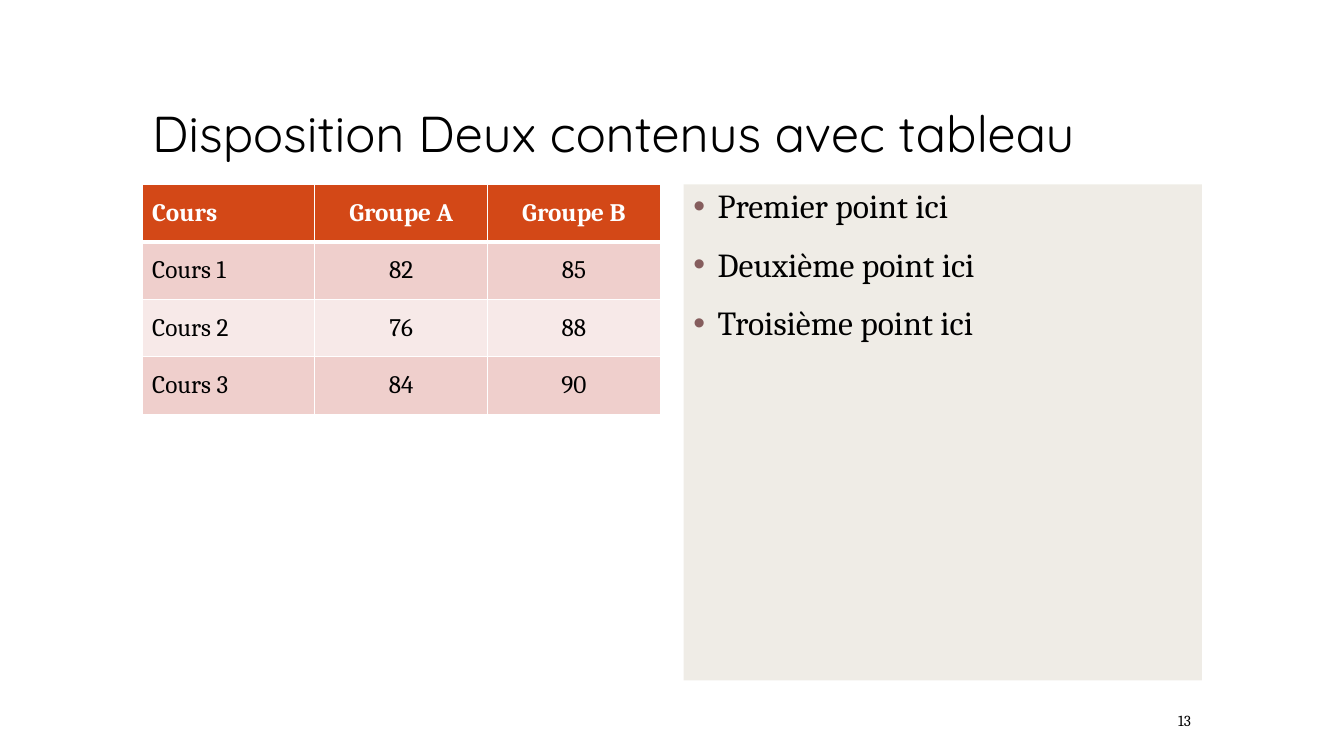
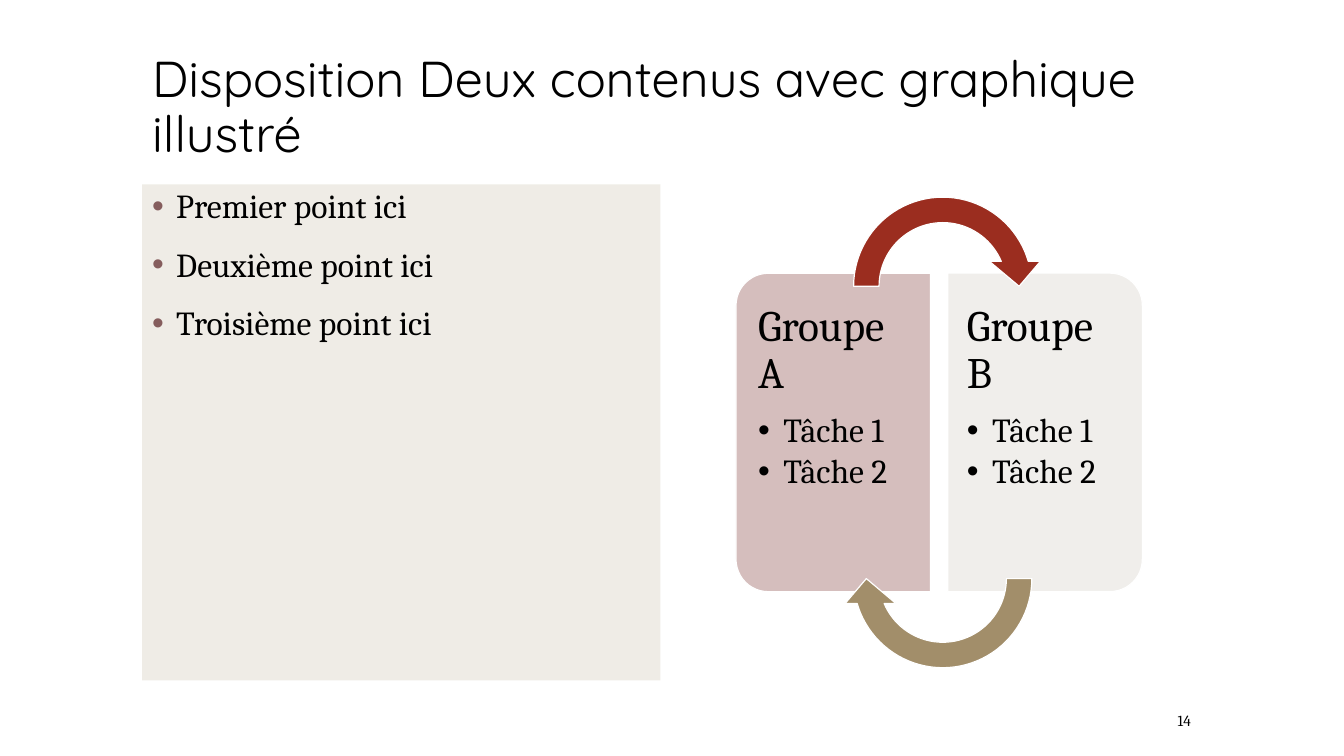
from lxml import etree
from pptx import Presentation
from pptx.dml.color import RGBColor
from pptx.enum.shapes import MSO_SHAPE
from pptx.enum.text import MSO_ANCHOR, PP_ALIGN
from pptx.oxml.ns import qn
from pptx.util import Pt

EMU_PER_PX = 9144  # 100 px to the inch
LEFT, CENTER, RIGHT = PP_ALIGN.LEFT, PP_ALIGN.CENTER, PP_ALIGN.RIGHT
TOP, MIDDLE, BOTTOM = MSO_ANCHOR.TOP, MSO_ANCHOR.MIDDLE, MSO_ANCHOR.BOTTOM
RECTANGLE = MSO_SHAPE.RECTANGLE
ROUND_TOP = MSO_SHAPE.ROUND_2_SAME_RECTANGLE
CIRCULAR_ARROW = MSO_SHAPE.CIRCULAR_ARROW

# Shared style
TITLE_FONT, BODY_FONT = "Quicksand", "Cambria"
BLACK, WHITE = "000000", "FFFFFF"
PANEL, BULLET = "E9E5DC", "855D5D"
HEADER, BAND_DARK, BAND_LIGHT = "D34817", "EFCFCC", "F7E9E8"
CARD_A, CARD_B = "D5BEBD", "F0EEEB"
ARROW_TOP, ARROW_BOTTOM = "9B2D1F", "A28E6A"

# Shared boxes: left, top, width, height
TITLE_BOX = (141, 42, 1050, 125)
LEFT_BOX = (141, 183, 514, 492)
RIGHT_BOX = (678, 183, 514, 492)
NUMBER_BOX = (880, 695, 311, 40)

POINTS = ["Premier point ici", "Deuxième point ici", "Troisième point ici"]
TASKS = ["Tâche 1", "Tâche 2"]
GRADES = [
    ["Cours", "Groupe A", "Groupe B"],
    ["Cours 1", "82", "85"],
    ["Cours 2", "76", "88"],
    ["Cours 3", "84", "90"],
]


def px(*lengths):
    return [round(length * EMU_PER_PX) for length in lengths]


def color(hex_string):
    return RGBColor.from_string(hex_string)


def format_paragraph(paragraph, size, font=BODY_FONT, ink=BLACK, bold=False, align=LEFT):
    paragraph.alignment = align
    paragraph.font.name = font
    paragraph.font.size = Pt(size)
    paragraph.font.bold = bold
    paragraph.font.color.rgb = color(ink)


def add_bullet(paragraph, ink, margin):
    properties = paragraph._p.get_or_add_pPr()
    properties.set("marL", str(px(margin)[0]))
    properties.set("indent", str(px(-25)[0]))
    bullet_color = etree.SubElement(properties, qn("a:buClr"))
    etree.SubElement(bullet_color, qn("a:srgbClr"), val=ink)
    etree.SubElement(properties, qn("a:buFont"), typeface="Arial")
    etree.SubElement(properties, qn("a:buChar"), char="•")


def add_filled_shape(shapes, kind, box, fill, line=None):
    shape = shapes.add_shape(kind, *px(*box))
    shape.shadow.inherit = False
    shape.fill.solid()
    shape.fill.fore_color.rgb = color(fill)
    if line:
        shape.line.color.rgb = color(line)
        shape.line.width = Pt(0.85)
    else:
        shape.line.fill.background()
    return shape


def add_titled_slide(presentation, title, number):
    slide = presentation.slides.add_slide(presentation.slide_layouts[5])
    # Title
    shape = slide.shapes.title
    shape.left, shape.top, shape.width, shape.height = px(*TITLE_BOX)
    frame = shape.text_frame
    frame.text = title
    frame.vertical_anchor = BOTTOM
    frame.paragraphs[0].line_spacing = 0.9
    format_paragraph(frame.paragraphs[0], 36, TITLE_FONT)
    # Slide number
    frame = slide.shapes.add_textbox(*px(*NUMBER_BOX)).text_frame
    frame.word_wrap = True
    frame.vertical_anchor = MIDDLE
    frame.text = number
    format_paragraph(frame.paragraphs[0], 11, align=RIGHT)
    return slide


def add_points_panel(slide, box):
    panel = add_filled_shape(slide.shapes, RECTANGLE, box, PANEL)
    panel_color = panel._element.spPr.find(".//" + qn("a:srgbClr"))
    etree.SubElement(panel_color, qn("a:alpha"), val="70000")
    frame = panel.text_frame
    frame.vertical_anchor = TOP
    frame.text = "\n".join(POINTS)
    for paragraph in frame.paragraphs:
        paragraph.line_spacing = 0.9
        paragraph.space_before = Pt(16)
        add_bullet(paragraph, BULLET, 24)
        format_paragraph(paragraph, 24)


def set_borders(cell, **widths):
    properties = cell._tc.get_or_add_tcPr()
    for side in "LRTB":
        width = Pt(widths.get(side, 1))
        line = etree.SubElement(properties, qn("a:ln" + side), w=str(width))
        fill = etree.SubElement(line, qn("a:solidFill"))
        etree.SubElement(fill, qn("a:srgbClr"), val=WHITE)


def add_grades_table(slide, box):
    left, top, width, _ = box
    row_height = 57
    size = len(GRADES), len(GRADES[0])
    table_box = px(left, top, width, row_height * size[0])
    table = slide.shapes.add_table(*size, *table_box).table
    for row_index, values in enumerate(GRADES):
        is_header = row_index == 0
        band = BAND_DARK if row_index % 2 else BAND_LIGHT
        for column_index, value in enumerate(values):
            cell = table.cell(row_index, column_index)
            set_borders(cell, B=3 if is_header else 1, T=3 if row_index == 1 else 1)
            cell.fill.solid()
            cell.fill.fore_color.rgb = color(HEADER if is_header else band)
            cell.vertical_anchor = MIDDLE
            cell.text = value
            format_paragraph(
                cell.text_frame.paragraphs[0], 18,
                ink=WHITE if is_header else BLACK, bold=is_header,
                align=CENTER if column_index else LEFT,
            )


def add_group_card(shapes, box, name, fill, rotation, text_shift, margins):
    # Card, turned a quarter so that its rounded side faces outwards
    left, top, width, height = box
    turn = (height - width) / 2
    turned_box = (left - turn, top + turn, height, width)
    card = add_filled_shape(shapes, ROUND_TOP, turned_box, fill, WHITE)
    card.rotation = rotation
    # Group name and tasks
    text_box = (left + text_shift, top + 9, width - 9, height - 19)
    frame = shapes.add_textbox(*px(*text_box)).text_frame
    frame.word_wrap = True
    frame.margin_left, frame.margin_right = px(*margins)
    frame.margin_top, frame.margin_bottom = px(22, 22)
    frame.text = "\n".join([name, *TASKS])
    heading, *tasks = frame.paragraphs
    heading.line_spacing = 0.9
    heading.space_after = Pt(11)
    format_paragraph(heading, 31)
    for task in tasks:
        task.level = 1
        task.line_spacing = 0.9
        task.space_after = Pt(3.6)
        add_bullet(task, BLACK, 25)
        format_paragraph(task, 24)


def add_cycle_diagram(slide, box):
    left, top, width, height = box
    shapes = slide.shapes.add_group_shape().shapes
    # Cards
    card_width, card_height, pitch = 193, 316, 210
    card_left, card_top = left + 52, top + (height - card_height) / 2
    cards = [
        ("Groupe A", CARD_A, 270, 9, (13, 19)),
        ("Groupe B", CARD_B, 90, 0, (19, 13)),
    ]
    for index, card in enumerate(cards):
        card_box = (card_left + index * pitch, card_top, card_width, card_height)
        add_group_card(shapes, card_box, *card)
    # Arrows along the top and bottom edges
    side = 202
    arrow_left = left + (width - side) / 2
    arrows = [(top, ARROW_TOP, 0), (top + height - side, ARROW_BOTTOM, 180)]
    for arrow_top, fill, rotation in arrows:
        arrow_box = (arrow_left, arrow_top, side, side)
        arrow = add_filled_shape(shapes, CIRCULAR_ARROW, arrow_box, fill, WHITE)
        arrow.rotation = rotation


def main():
    presentation = Presentation()
    presentation.slide_width, presentation.slide_height = px(1333, 750)

    slide = add_titled_slide(presentation, "Disposition Deux contenus avec tableau", "13")
    add_grades_table(slide, LEFT_BOX)
    add_points_panel(slide, RIGHT_BOX)

    slide = add_titled_slide(
        presentation, "Disposition Deux contenus avec graphique illustré", "14")
    add_points_panel(slide, LEFT_BOX)
    add_cycle_diagram(slide, RIGHT_BOX)

    presentation.save("out.pptx")


if __name__ == "__main__":
    main()
